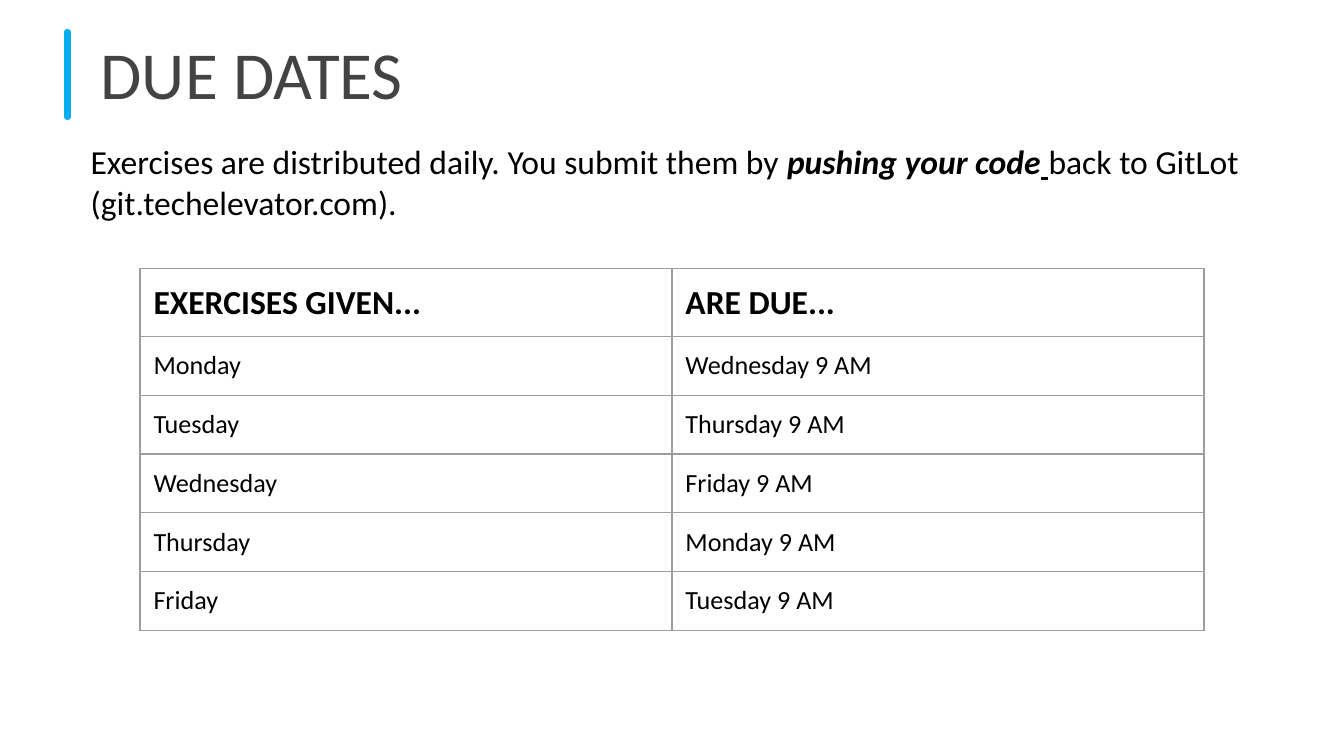
from dataclasses import dataclass, field

from lxml import etree
from pptx import Presentation
from pptx import util as u
from pptx.dml.color import RGBColor
from pptx.enum import text
from pptx.oxml.ns import qn

SLIDE_WIDTH = u.Inches(10)
SLIDE_HEIGHT = SLIDE_WIDTH * 9 // 16
INSET = u.Inches(0.1)
MARGINS = {f"margin_{side}": INSET for side in ("left", "right", "top", "bottom")}
BLACK, GREY, CYAN, BORDER = "000000", "434343", "00ADEE", "9E9E9E"


@dataclass
class Area:
    left: float
    top: float
    width: float
    height: float

    def lengths(self) -> list[int]:
        sides = (SLIDE_WIDTH, SLIDE_HEIGHT) * 2
        shares = (self.left, self.top, self.width, self.height)
        return [int(side * share / 100) for side, share in zip(sides, shares)]


@dataclass
class Span:
    words: str
    size: float
    colour: str = BLACK
    face: str = "Calibri"
    style: dict = field(default_factory=dict)


@dataclass
class Deadline:
    given: str
    due: str


TITLE_AREA = Area(2.75, 1.25, 93.9, 14.4)
INTRO_AREA = Area(5.74, 16.89, 88.2, 14.4)
TABLE_AREA = Area(10.42, 35.54, 79.16, 44.8)

TITLE = [Span("|", 48, CYAN, "Comfortaa"), Span(" DUE DATES", 36, GREY)]
INTRO = [
    Span("Exercises are distributed daily. You submit them by ", 18),
    Span("pushing your code", 18, style={"bold": True, "italic": True}),
    Span(" ", 18, style={"italic": True, "underline": True}),
    Span("back to GitLot (git.techelevator.com).", 18),
]
DEADLINES = [
    Deadline("EXERCISES GIVEN...", "ARE DUE..."),
    Deadline("Monday", "Wednesday 9 AM"),
    Deadline("Tuesday", "Thursday 9 AM"),
    Deadline("Wednesday", "Friday 9 AM"),
    Deadline("Thursday", "Monday 9 AM"),
    Deadline("Friday", "Tuesday 9 AM"),
]


def colour_of(hex_value: str) -> RGBColor:
    return RGBColor.from_string(hex_value)


def apply(target, values: dict) -> None:
    for name, value in values.items():
        setattr(target, name, value)


def write(paragraph, spans: list[Span]) -> None:
    for span in spans:
        run = paragraph.add_run()
        run.text = span.words
        look = {"name": span.face, "size": u.Pt(span.size), "bold": False}
        apply(run.font, look | span.style)
        run.font.color.rgb = colour_of(span.colour)


def fill_placeholder(holder, area: Area, spans: list[Span], anchor) -> None:
    apply(holder, dict(zip(("left", "top", "width", "height"), area.lengths())))
    frame = holder.text_frame
    apply(frame, MARGINS | {
        "vertical_anchor": anchor, "word_wrap": True,
        "auto_size": text.MSO_AUTO_SIZE.NONE,
    })
    paragraph = frame.paragraphs[0]
    properties = paragraph._p.get_or_add_pPr()
    for name in ("marL", "indent"):
        properties.set(name, "0")
    etree.SubElement(properties, qn("a:buNone"))
    apply(paragraph, {"alignment": text.PP_ALIGN.LEFT, "space_before": u.Pt(0)})
    write(paragraph, spans)


def outline(cell) -> None:
    properties = cell._tc.get_or_add_tcPr()
    for position, side in enumerate(("lnL", "lnR", "lnT", "lnB")):
        line = etree.Element(qn(f"a:{side}"), w=str(u.Pt(0.75)))
        solid = etree.SubElement(line, qn("a:solidFill"))
        etree.SubElement(solid, qn("a:srgbClr"), val=BORDER)
        properties.insert(position, line)


def draw_deadlines(slide, area: Area, deadlines: list[Deadline]) -> None:
    table = slide.shapes.add_table(len(deadlines), 2, *area.lengths()).table
    apply(table, {"first_row": False, "horz_banding": False})
    for row, deadline in enumerate(deadlines):
        header = row == 0
        for column, words in enumerate((deadline.given, deadline.due)):
            cell = table.cell(row, column)
            apply(cell, MARGINS)
            cell.fill.background()
            outline(cell)
            span = Span(words, 18 if header else 14, style={"bold": header})
            write(cell.text_frame.paragraphs[0], [span])


def main() -> None:
    deck = Presentation()
    apply(deck, {"slide_width": SLIDE_WIDTH, "slide_height": SLIDE_HEIGHT})
    slide = deck.slides.add_slide(deck.slide_layouts[1])
    title, intro = slide.placeholders
    fill_placeholder(title, TITLE_AREA, TITLE, text.MSO_ANCHOR.MIDDLE)
    fill_placeholder(intro, INTRO_AREA, INTRO, text.MSO_ANCHOR.TOP)
    draw_deadlines(slide, TABLE_AREA, DEADLINES)
    deck.save("out.pptx")


if __name__ == "__main__":
    main()
